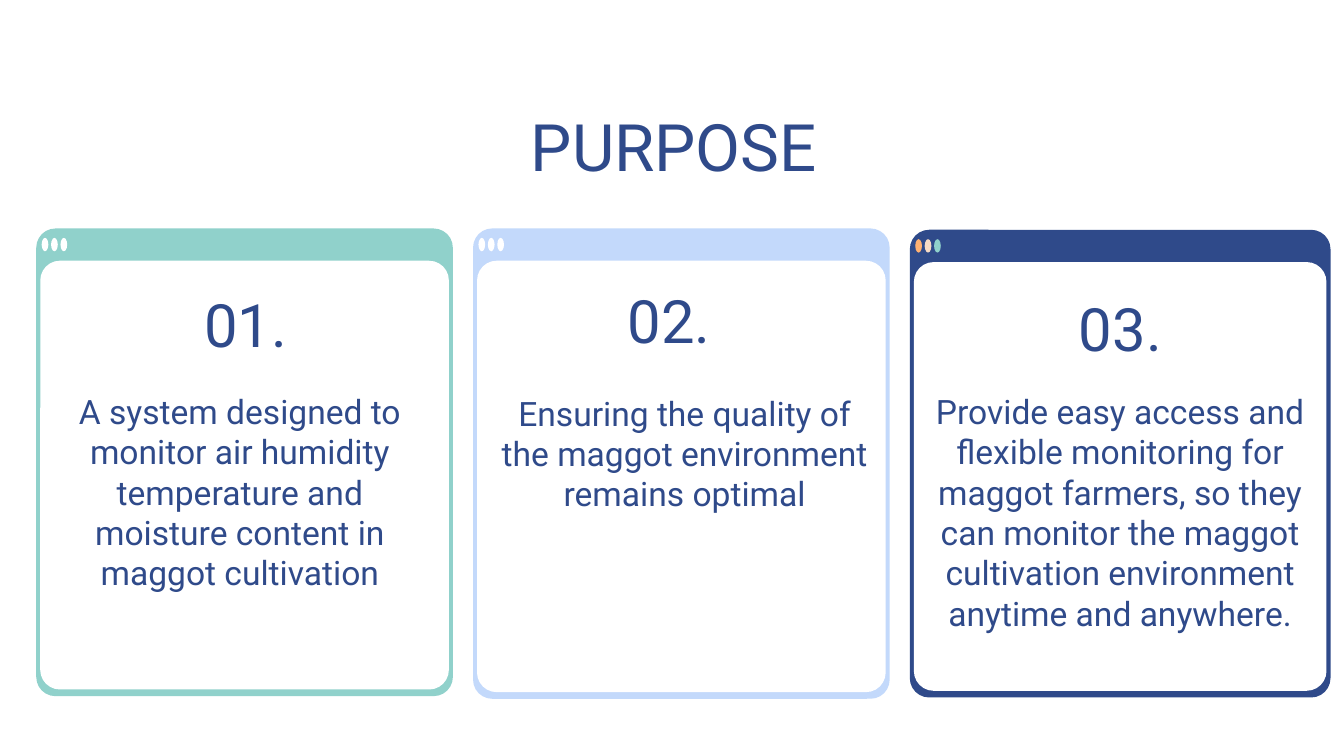
from pptx import Presentation
from pptx.dml.color import RGBColor as Rgb
from pptx.enum.shapes import MSO_SHAPE as Kind
from pptx.enum.text import MSO_ANCHOR as Anchor, MSO_AUTO_SIZE as Fit, PP_ALIGN as Align
from pptx.util import Inches, Pt

theme = {
    "font": "Roboto",
    "navy": "2F4A8A", "teal": "90D1CB", "sky": "C3D9FB", "white": "FFFFFF",
    "orange": "FFB172", "peach": "F8DBC4",
    "title": 35, "number": 32, "body": 18,
}


def draw(group, kind, box, color, adj=None):
    shape = group.shapes.add_shape(kind, *map(Inches, box))
    shape.shadow.inherit = False
    shape.fill.solid()
    shape.fill.fore_color.rgb = Rgb.from_string(theme[color])
    shape.line.fill.background()
    if adj:
        shape.adjustments[0] = adj


def write(shape, text, size, align, inset=0.1, after=0):
    frame = shape.text_frame
    look = {
        "word_wrap": True, "auto_size": Fit.NONE, "vertical_anchor": Anchor.TOP,
        "margin_left": Inches(0.1), "margin_right": Inches(0.1),
        "margin_top": Inches(inset), "margin_bottom": Inches(inset),
    }
    for name, value in look.items():
        setattr(frame, name, value)
    para = frame.paragraphs[0]
    para.alignment = align
    para.space_after = Pt(after)
    run = para.add_run()
    run.text = text
    for name, value in {"name": theme["font"], "size": Pt(theme[size])}.items():
        setattr(run.font, name, value)
    run.font.color.rgb = Rgb.from_string(theme["navy"])


deck = Presentation()
deck.slide_width = Inches(10)
deck.slide_height = Inches(10 * 9 / 16)
slide = deck.slides.add_slide(deck.slide_layouts[5])

plain = ["white"] * 3
cards = [
    {"box": (0.27, 1.7, 3.1, 3.48), "color": "teal", "dots": plain,
     "num": "01.", "spot": (1.42, 2.09, 5.79, 0.64),
     "text": "A system designed to monitor air humidity temperature and moisture content in maggot cultivation",
     "area": (0.36, 2.81, 2.85, 0.51), "after": 0},
    {"box": (3.52, 1.7, 3.1, 3.5), "color": "sky", "dots": plain,
     "num": "02.", "spot": (4.57, 2.06, 5.79, 0.64),
     "text": "Ensuring the quality of the maggot environment remains optimal",
     "area": (3.63, 2.82, 2.93, 0.51), "after": 16},
    {"box": (6.77, 1.71, 3.13, 3.48), "color": "navy", "dots": ["orange", "peach", "teal"],
     "num": "03.", "spot": (7.93, 2.12, 1.17, 0.88),
     "text": "Provide easy access and flexible monitoring for maggot farmers, so they can monitor "
             "the maggot cultivation environment anytime and anywhere.",
     "area": (6.67, 2.81, 3.33, 0.51), "after": 16},
]

for card in cards:
    x, y, w, h = card["box"]
    group = slide.shapes.add_group_shape()
    draw(group, Kind.ROUNDED_RECTANGLE, card["box"], card["color"], 0.046)
    draw(group, Kind.ROUNDED_RECTANGLE, (x + 0.03, y + 0.24, w - 0.06, h - 0.29), "white", 0.048)
    for i, color in enumerate(card["dots"]):
        draw(group, Kind.OVAL, (x + 0.04 + 0.07 * i, y + 0.07, 0.05, 0.1), color)

title = slide.shapes.title
for name, value in zip(("left", "top", "width", "height"), (3.85, 0.69, 7.44, 0.51)):
    setattr(title, name, Inches(value))
write(title, "PURPOSE", "title", Align.LEFT)

for card in cards:
    body = slide.shapes.add_textbox(*map(Inches, card["area"]))
    write(body, card["text"], "body", Align.CENTER, after=card["after"])
    label = slide.shapes.add_textbox(*map(Inches, card["spot"]))
    write(label, card["num"], "number", Align.LEFT, inset=0.05)

deck.save("out.pptx")
